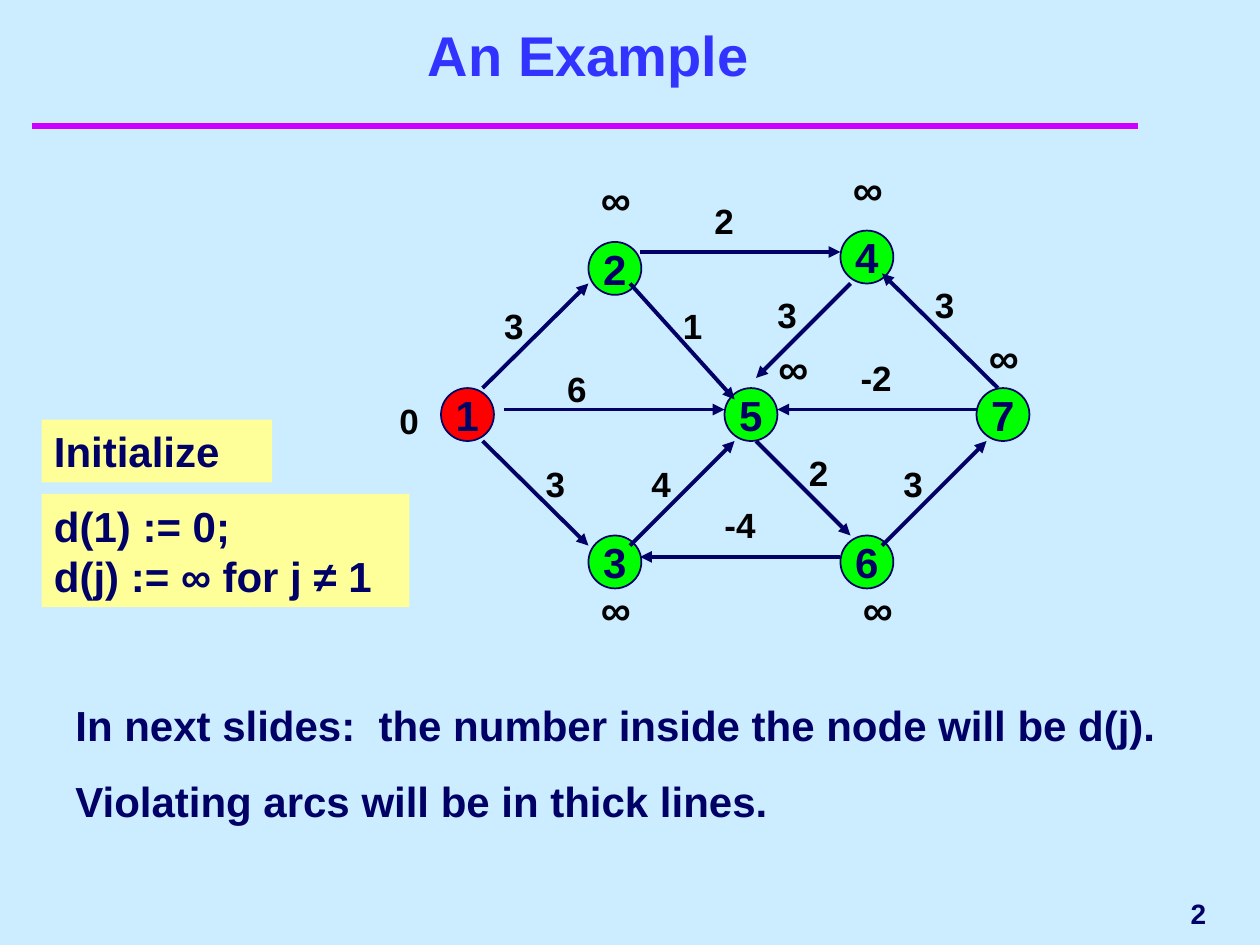
from lxml import etree
from pptx import Presentation
from pptx.dml.color import RGBColor
from pptx.enum.shapes import MSO_CONNECTOR, MSO_SHAPE
from pptx.enum.text import MSO_ANCHOR, MSO_AUTO_SIZE, PP_ALIGN
from pptx.oxml.ns import qn
from pptx.util import Inches, Pt

STRAIGHT = MSO_CONNECTOR.STRAIGHT
RECTANGLE, OVAL = MSO_SHAPE.RECTANGLE, MSO_SHAPE.OVAL
TOP, MIDDLE, BOTTOM = MSO_ANCHOR.TOP, MSO_ANCHOR.MIDDLE, MSO_ANCHOR.BOTTOM
LEFT, CENTER, RIGHT = PP_ALIGN.LEFT, PP_ALIGN.CENTER, PP_ALIGN.RIGHT
GROW, FIXED = MSO_AUTO_SIZE.SHAPE_TO_FIT_TEXT, MSO_AUTO_SIZE.NONE

SKY = RGBColor(0xCC, 0xEC, 0xFF)
BLUE = RGBColor(0x33, 0x33, 0xFF)
MAGENTA = RGBColor(0xCC, 0x00, 0xFF)
NAVY = RGBColor(0x00, 0x00, 0x66)
BLACK = RGBColor(0x00, 0x00, 0x00)
YELLOW = RGBColor(0xFF, 0xFF, 0x99)
RED = RGBColor(0xFF, 0x00, 0x00)
GREEN = RGBColor(0x00, 0xFF, 0x00)

NODE_SIZE = 0.42
NODES = [
    ("1", 3.5, 3.08, RED),
    ("2", 4.67, 1.92, GREEN),
    ("4", 6.67, 1.83, GREEN),
    ("5", 5.75, 3.08, GREEN),
    ("3", 4.67, 4.25, GREEN),
    ("6", 6.67, 4.25, GREEN),
    ("7", 7.75, 3.08, GREEN),
]
ARCS = [
    (5.08, 2, 6.67, 2),
    (7.92, 3.08, 7, 2.17),
    (6.75, 2.25, 6, 3),
    (4, 3.25, 5.75, 3.25),
    (5, 4.33, 5.83, 3.5),
    (6, 3.5, 6.75, 4.25),
    (6.67, 4.42, 5.08, 4.42),
    (3.83, 3.5, 4.67, 4.33),
    (3.83, 3.08, 4.67, 2.25),
    (5, 2.25, 5.83, 3.17),
    (7.75, 3.25, 6.17, 3.25),
    (7, 4.33, 7.83, 3.5),
]
COSTS = [
    ("3", 4, 2.42), ("2", 5.67, 1.58), ("3", 7.42, 2.25), ("3", 6.17, 2.33),
    ("1", 5.42, 2.42), ("6", 4.5, 2.92), ("-2", 6.83, 2.83), ("3", 7.17, 3.67),
    ("2", 6.42, 3.58), ("-4", 5.75, 4), ("4", 5.17, 3.67), ("3", 4.33, 3.67),
    ("0", 3.17, 3.17),
]
INFINITIES = [
    (6.67, 1.25), (4.67, 1.33), (7.75, 2.58),
    (6.75, 4.58), (4.67, 4.58), (6.08, 2.67),
]


def write(box, text, size, color, align=LEFT, anchor=TOP, grow=GROW, wrap=True, inset=True):
    frame = box.text_frame
    frame.text = text
    frame.word_wrap = wrap
    frame.auto_size = grow
    frame.vertical_anchor = anchor
    frame.margin_left = frame.margin_right = Inches(0.1 if inset else 0)
    frame.margin_top = frame.margin_bottom = Inches(0.05 if inset else 0)
    for index, para in enumerate(frame.paragraphs):
        para.alignment = align
        para.space_before = Pt(15 if index else 0)
        for span in para.runs:
            span.font.name = "Arial"
            span.font.size = Pt(size)
            span.font.bold = True
            span.font.color.rgb = color


def add_text(page, left, top, width, height, text, size, color, **layout):
    box = page.shapes.add_textbox(Inches(left), Inches(top), Inches(width), Inches(height))
    write(box, text, size, color, **layout)


def add_filled(page, kind, left, top, width, height, fill):
    shape = page.shapes.add_shape(kind, Inches(left), Inches(top), Inches(width), Inches(height))
    shape.shadow.inherit = False
    shape.fill.solid()
    shape.fill.fore_color.rgb = fill
    return shape


def add_note(page, left, top, width, height, text):
    note = add_filled(page, RECTANGLE, left, top, width, height, YELLOW)
    note.line.fill.background()
    write(note, text, 24, NAVY)


def add_node(page, name, left, top, fill):
    node = add_filled(page, OVAL, left, top, NODE_SIZE, NODE_SIZE, fill)
    node.line.color.rgb = NAVY
    node.line.width = Pt(1)
    write(node, name, 24, NAVY, align=CENTER, anchor=MIDDLE, grow=FIXED, wrap=False)


def add_line(page, ends, color, width, arrow=False):
    line = page.shapes.add_connector(STRAIGHT, *[Inches(value) for value in ends])
    line.line.color.rgb = color
    line.line.width = Pt(width)
    if arrow:
        etree.SubElement(line.line._get_or_add_ln(), qn("a:tailEnd"), type="triangle")
    etree.SubElement(line._element.spPr, qn("a:effectLst"))


def add_title(page, text):
    title = page.shapes.title
    title.left, title.top = Inches(0.42), Inches(0.33)
    title.width, title.height = Inches(8.5), Inches(0.42)
    write(title, text, 32, BLUE, align=CENTER, anchor=BOTTOM, grow=FIXED)


def main():
    deck = Presentation()
    deck.slide_width, deck.slide_height = Inches(10), Inches(7.5)
    page = deck.slides.add_slide(deck.slide_layouts[5])
    page.background.fill.solid()
    page.background.fill.fore_color.rgb = SKY

    add_line(page, (0.25, 1, 9.03, 1), MAGENTA, 4)
    add_title(page, "An Example")
    add_note(page, 0.33, 3.33, 1.83, 0.5, "Initialize")
    add_note(page, 0.33, 3.92, 2.92, 0.9, "d(1) := 0;\vd(j) := ∞ for j ≠ 1")

    for node in NODES:
        add_node(page, *node)
    for arc in ARCS:
        add_line(page, arc, NAVY, 2.25, arrow=True)
    for cost, left, top in COSTS:
        width = 0.5 if len(cost) > 1 else 0.22
        add_text(page, left, top, width, 0.33, cost, 20, BLACK, inset=False)
    for left, top in INFINITIES:
        add_text(page, left, top, 0.42, 0.5, "∞", 24, BLACK)

    add_text(page, 0.5, 5.5, 9.08, 1.11,
             "In next slides:  the number inside the node will be d(j).\n"
             "Violating arcs will be in thick lines.", 24, NAVY)
    add_text(page, 7.75, 7, 1.92, 0.5, "2", 16, NAVY, align=RIGHT, anchor=MIDDLE, grow=FIXED)
    deck.save("out.pptx")


if __name__ == "__main__":
    main()
